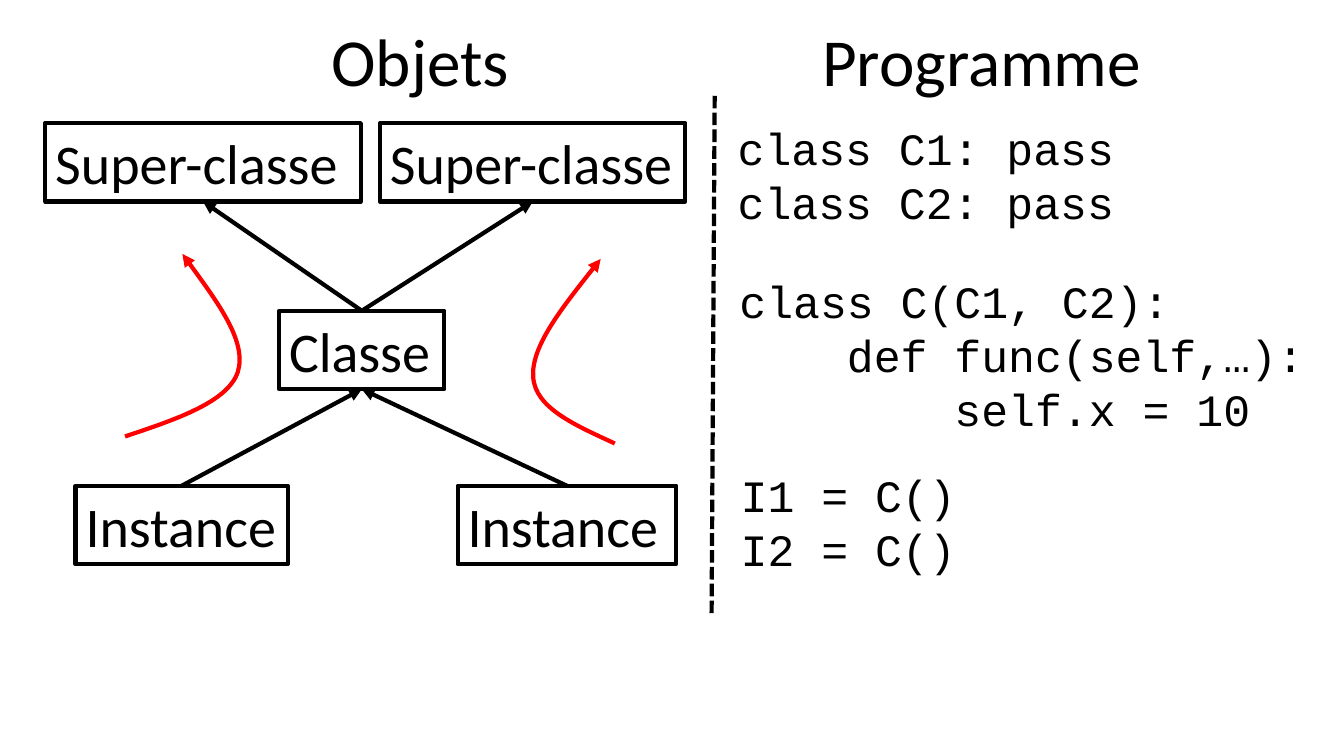
from pptx import Presentation
from pptx import util as u
from pptx.dml.color import RGBColor
from pptx.enum import dml, shapes, text
from pptx.oxml import ns
from lxml import etree

COLORS = {"ink": "000000", "lookup": "FF0000"}
HEADING, LABEL, CODE = 48, 40, 32
LINE_HEIGHT = 1.22
INSET = 7.2
CODE_INDENT = 4 * 0.6 * CODE


def text_height(size, lines=1):
    return lines * size * LINE_HEIGHT + INSET


def write(holder, lines, size, font="Calibri", color="ink", indent=0):
    frame = holder.text_frame
    frame.word_wrap = True
    frame.auto_size = text.MSO_AUTO_SIZE.SHAPE_TO_FIT_TEXT
    for number, line in enumerate(lines):
        paragraph = frame.add_paragraph() if number else frame.paragraphs[0]
        paragraph.alignment = text.PP_ALIGN.LEFT
        if indent and number:
            properties = paragraph._p.get_or_add_pPr()
            properties.set("marL", str(int(u.Pt(number * indent))))
            properties.set("indent", "0")
        run = paragraph.add_run()
        run.text = line
        run.font.size = u.Pt(size)
        run.font.name = font
        run.font.color.rgb = RGBColor.from_string(COLORS[color])


def write_at(slide, left, top, width, lines, size, **form):
    box = slide.shapes.add_textbox(
        u.Pt(left), u.Pt(top), u.Pt(width), u.Pt(text_height(size, len(lines))))
    write(box, lines, size, **form)


def stroke(line, color="ink", arrow=False):
    line.width = u.Pt(3)
    line.color.rgb = RGBColor.from_string(COLORS[color])
    if arrow:
        etree.SubElement(line._get_or_add_ln(), ns.qn("a:tailEnd"), type="triangle")


def straight(slide, start=(0, 0), end=(0, 0), arrow=False):
    link = slide.shapes.add_connector(
        shapes.MSO_CONNECTOR.STRAIGHT, *(u.Pt(v) for v in (*start, *end)))
    stroke(link.line, arrow=arrow)
    etree.SubElement(link._element.spPr, ns.qn("a:effectLst"))
    return link


def node(slide, left, top, width, label):
    box = slide.shapes.add_shape(
        shapes.MSO_SHAPE.RECTANGLE, u.Pt(left), u.Pt(top), u.Pt(width),
        u.Pt(text_height(LABEL)))
    box.shadow.inherit = False
    box.fill.background()
    stroke(box.line)
    write(box, [label], LABEL)
    return box


def inherits(slide, child, parent):
    link = straight(slide, arrow=True)
    link.begin_connect(child, 0)
    link.end_connect(parent, 2)


def lookup_curve(slide, left, top, points):
    start, *rest = [(u.Pt(left + x), u.Pt(top + y)) for x, y in points]
    builder = slide.shapes.build_freeform(*start)
    builder.add_line_segments(rest, close=False)
    curve = builder.convert_to_shape()
    outline = next(curve._element.iter(ns.qn("a:path")))
    segments = outline.findall(ns.qn("a:lnTo"))
    for first in range(0, len(segments), 3):
        bezier = etree.SubElement(outline, ns.qn("a:cubicBezTo"))
        for segment in segments[first:first + 3]:
            bezier.append(segment[0])
            outline.remove(segment)
    curve.shadow.inherit = False
    curve.fill.background()
    stroke(curve.line, "lookup", arrow=True)


def objects_region(slide, left, top):
    write_at(slide, left + 197.3, top, 155.5, ["Objets"], HEADING)
    super_left, super_right, klass, instance_left, instance_right = [
        node(slide, left + x, top + y, width, label)
        for x, y, width, label in (
            (0, 78, 225.4, "Super-classe"),
            (239, 78, 218.2, "Super-classe"),
            (167, 212, 118.1, "Classe"),
            (21.6, 337, 151.5, "Instance"),
            (294.5, 337, 156.2, "Instance"))]
    for child, parent in ((klass, super_left), (klass, super_right),
                          (instance_left, klass), (instance_right, klass)):
        inherits(slide, child, parent)
    for points in (
            [(406.8, 306.8), (378.7, 293.8), (349.9, 281.6), (348.5, 259.3),
             (347, 237.7), (371.5, 206.7), (396.7, 175)],
            [(56.9, 301.8), (93.6, 289.5), (130.3, 277.3), (137.5, 255.7),
             (144, 234.1), (121, 203.1), (97.9, 171.4)]):
        lookup_curve(slide, left, top, points)


def program_region(slide, left, top):
    write_at(slide, left + 60.3, top, 288.7, ["Programme"], HEADING)
    for x, y, width, indent, lines in (
            (0, 72.8, 395.3, 0, ["class C1: pass", "class C2: pass"]),
            (1.3, 182.2, 440, CODE_INDENT,
             ["class C(C1, C2):", "def func(self,…):", "self.x = 10"]),
            (2.2, 320.5, 192.2, 0, ["I1 = C()", "I2 = C()"])):
        write_at(slide, left + x, top + y, width, lines, CODE,
                 font="Courier New", indent=indent)


deck = Presentation()
deck.slide_width, deck.slide_height = u.Pt(960), u.Pt(540)
inheritance = deck.slides.add_slide(deck.slide_layouts[6])
objects_region(inheritance, 32.4, 10)
divider = straight(inheritance, (510.5, 68.4), (508.3, 439.2))
divider.line.dash_style = dml.MSO_LINE.SQUARE_DOT
program_region(inheritance, 519.8, 10)
deck.save("out.pptx")
